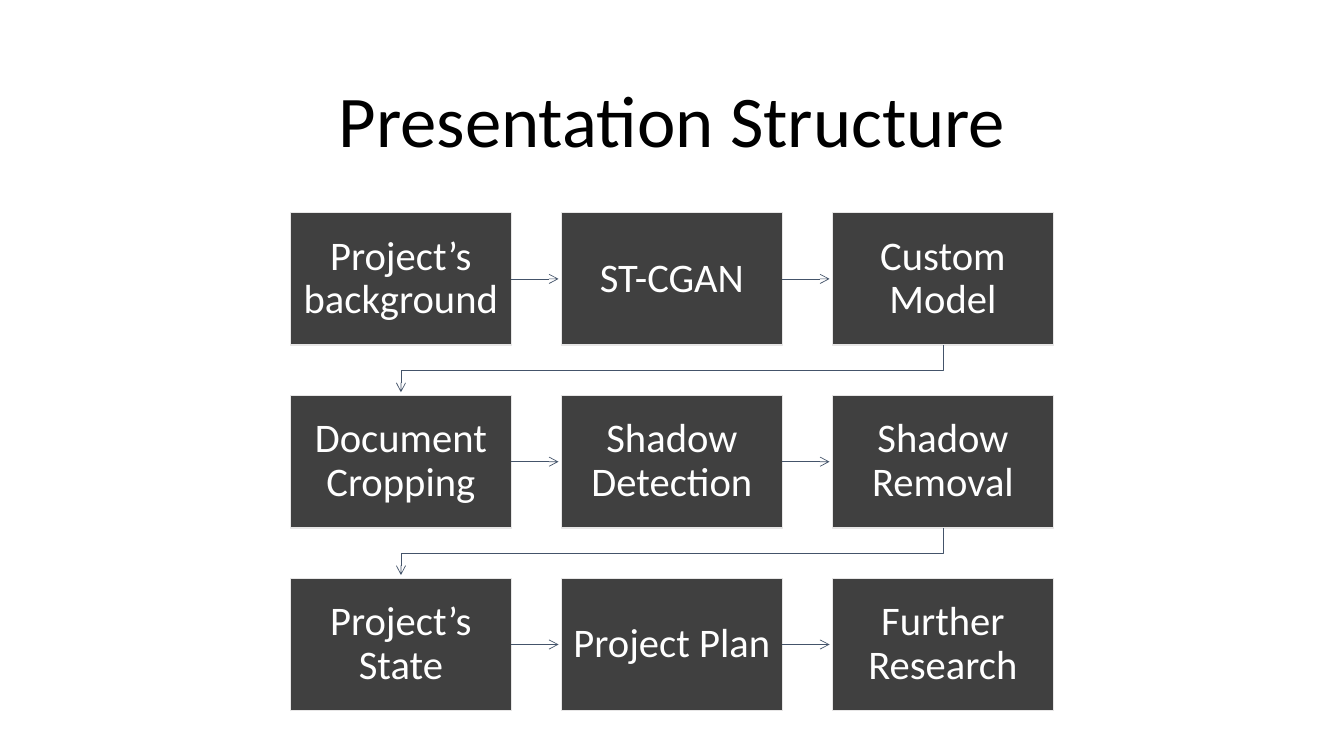
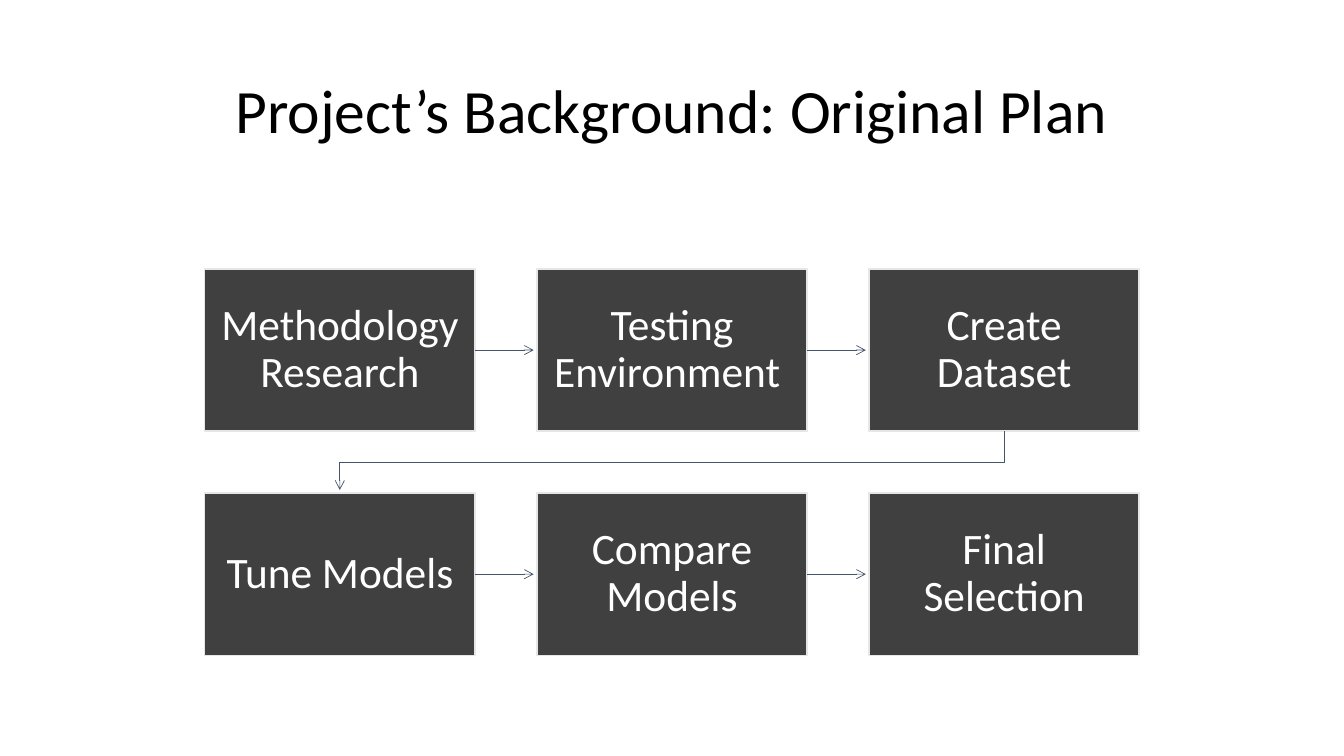
from itertools import pairwise

from lxml import etree
from pptx import Presentation
from pptx.dml.color import RGBColor
from pptx.enum import shapes, text
from pptx.oxml.ns import qn
from pptx.util import Cm, Pt


def rgb(hex_color):
    return RGBColor.from_string(hex_color)


def write(tf, content, size, color, inset=0.25, after=0):
    """Fill a text frame with one centred paragraph; inset is in cm, after in points."""
    tf.word_wrap = True
    tf.auto_size = text.MSO_AUTO_SIZE.NONE
    tf.vertical_anchor = text.MSO_ANCHOR.MIDDLE
    tf.margin_left = tf.margin_right = Cm(inset)
    tf.margin_top = tf.margin_bottom = Cm(inset)
    p = tf.paragraphs[0]
    p.alignment = text.PP_ALIGN.CENTER
    p.line_spacing = 0.9
    p.space_after = Pt(after)
    r = p.add_run()
    r.text = content
    r.font.name = "Calibri"
    r.font.size = Pt(size)
    r.font.color.rgb = rgb(color)


class Deck:
    """Holds the shared style and the slide being built."""

    WIDTH, HEIGHT = 33.87, 19.05
    TITLE_LEFT, TITLE_BOTTOM = 2.34, 4.7
    TITLE, BOX, BORDER, ARROW, LABEL = "000000", "404040", "E7E6E6", "44546A", "FFFFFF"
    COLUMNS = 3
    ASPECT = 0.6
    ARROW_STOP = 0.08

    def __init__(self):
        self.prs = Presentation()
        self.prs.slide_width = Cm(self.WIDTH)
        self.prs.slide_height = Cm(self.HEIGHT)
        self.s = None

    def slide(self, title, top, size):
        self.s = self.prs.slides.add_slide(self.prs.slide_layouts[5])
        sp = self.s.shapes.title
        sp.left, sp.top = Cm(self.TITLE_LEFT), Cm(top)
        sp.width = Cm(self.WIDTH - 2 * self.TITLE_LEFT)
        sp.height = Cm(self.TITLE_BOTTOM - top)
        write(sp.text_frame, title, size, self.TITLE)

    def box(self, label, left, top, width, size, inset):
        sp = self.s.shapes.add_shape(shapes.MSO_SHAPE.RECTANGLE, Cm(left), Cm(top),
                                     Cm(width), Cm(width * self.ASPECT))
        sp.shadow.inherit = False
        sp.fill.solid()
        sp.fill.fore_color.rgb = rgb(self.BOX)
        sp.line.color.rgb = rgb(self.BORDER)
        sp.line.width = Pt(1)
        write(sp.text_frame, label, size, self.LABEL, inset, size * 0.35)
        return sp

    def style_arrow(self, sp):
        sp.line.color.rgb = rgb(self.ARROW)
        sp.line.width = Pt(0.5)
        sp_pr = sp.element.spPr
        etree.SubElement(sp_pr.find(qn("a:ln")), qn("a:tailEnd"), type="arrow")
        if sp_pr.find(qn("a:effectLst")) is None:
            etree.SubElement(sp_pr, qn("a:effectLst"))

    def arrow_right(self, start, end):
        y = start.top + start.height // 2
        sp = self.s.shapes.add_connector(shapes.MSO_CONNECTOR.STRAIGHT,
                                         start.left + start.width, y,
                                         end.left - Cm(self.ARROW_STOP), y)
        sp.begin_connect(start, 3)
        self.style_arrow(sp)

    def arrow_to_next_row(self, start, end):
        x1, x2 = (box.left + box.width // 2 for box in (start, end))
        y1 = start.top + start.height
        middle = (y1 + end.top) // 2
        path = self.s.shapes.build_freeform(x1, y1)
        path.add_line_segments([(x1, middle), (x2, middle),
                                (x2, end.top - Cm(self.ARROW_STOP))], close=False)
        sp = path.convert_to_shape()
        sp.fill.background()
        self.style_arrow(sp)

    def flow(self, labels, top, width, gap, size, inset):
        """Lay boxes out in centred rows of equal gaps and link them in reading order."""
        left = (self.WIDTH - self.COLUMNS * width - (self.COLUMNS - 1) * gap) / 2
        boxes = []
        for i, label in enumerate(labels):
            row, column = divmod(i, self.COLUMNS)
            boxes.append(self.box(label, left + column * (width + gap),
                                  top + row * (width * self.ASPECT + gap),
                                  width, size, inset))
        for start, end in pairwise(boxes):
            link = self.arrow_right if start.top == end.top else self.arrow_to_next_row
            link(start, end)


def main():
    deck = Deck()

    deck.slide("Presentation Structure", top=1.55, size=52)
    deck.flow(["Project’s background", "ST-CGAN", "Custom Model",
               "Document Cropping", "Shadow Detection", "Shadow Removal",
               "Project’s State", "Project Plan", "Further Research"],
              top=5.36, width=5.56, gap=1.27, size=29, inset=0.27)

    deck.slide("Project’s Background: Original Plan", top=1.02, size=44)
    deck.flow(["Methodology Research", "Testing Environment ", "Create Dataset",
               "Tune Models", "Compare Models", "Final Selection"],
              top=6.78, width=6.81, gap=1.56, size=31, inset=0.33)

    deck.prs.save("out.pptx")


if __name__ == "__main__":
    main()
